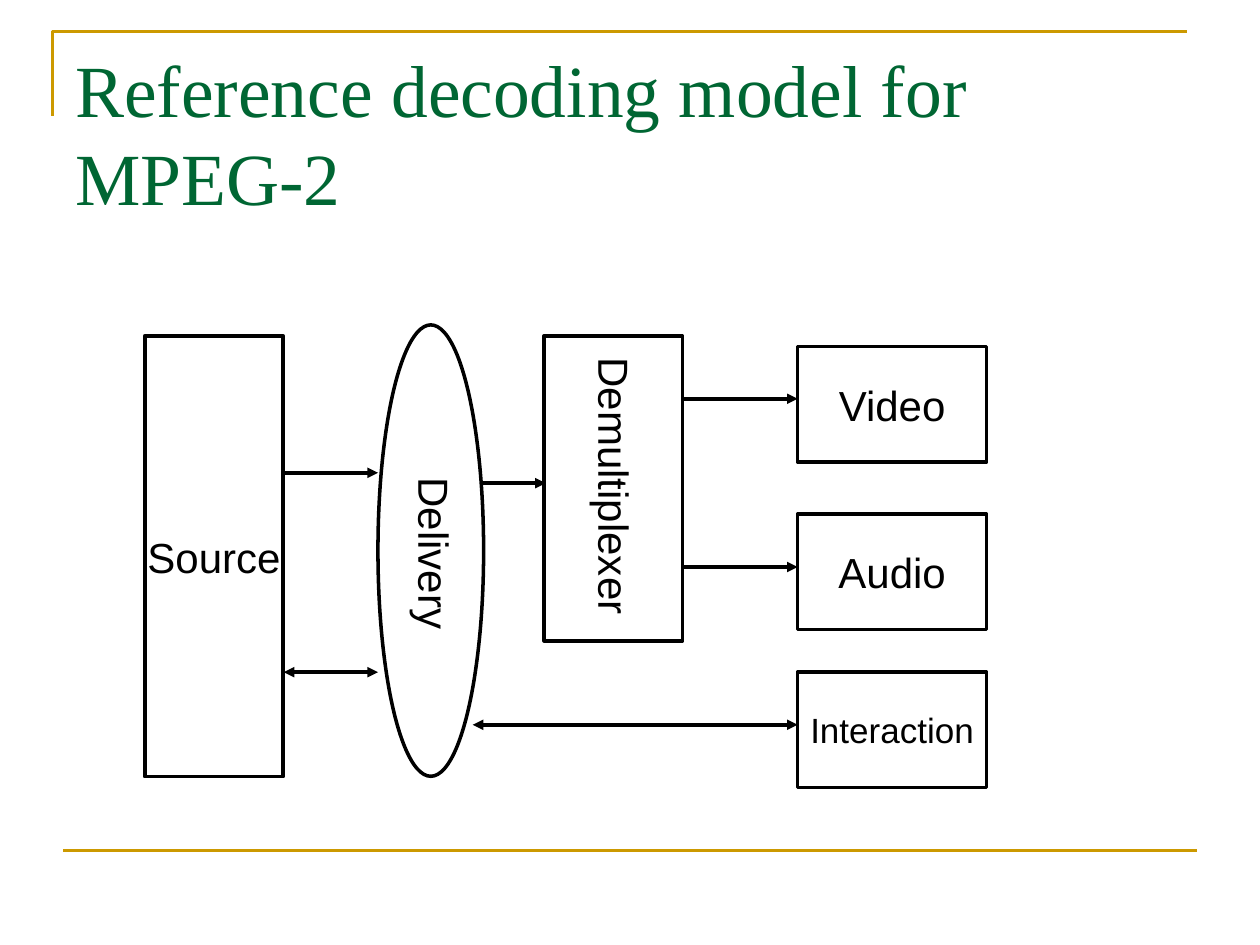
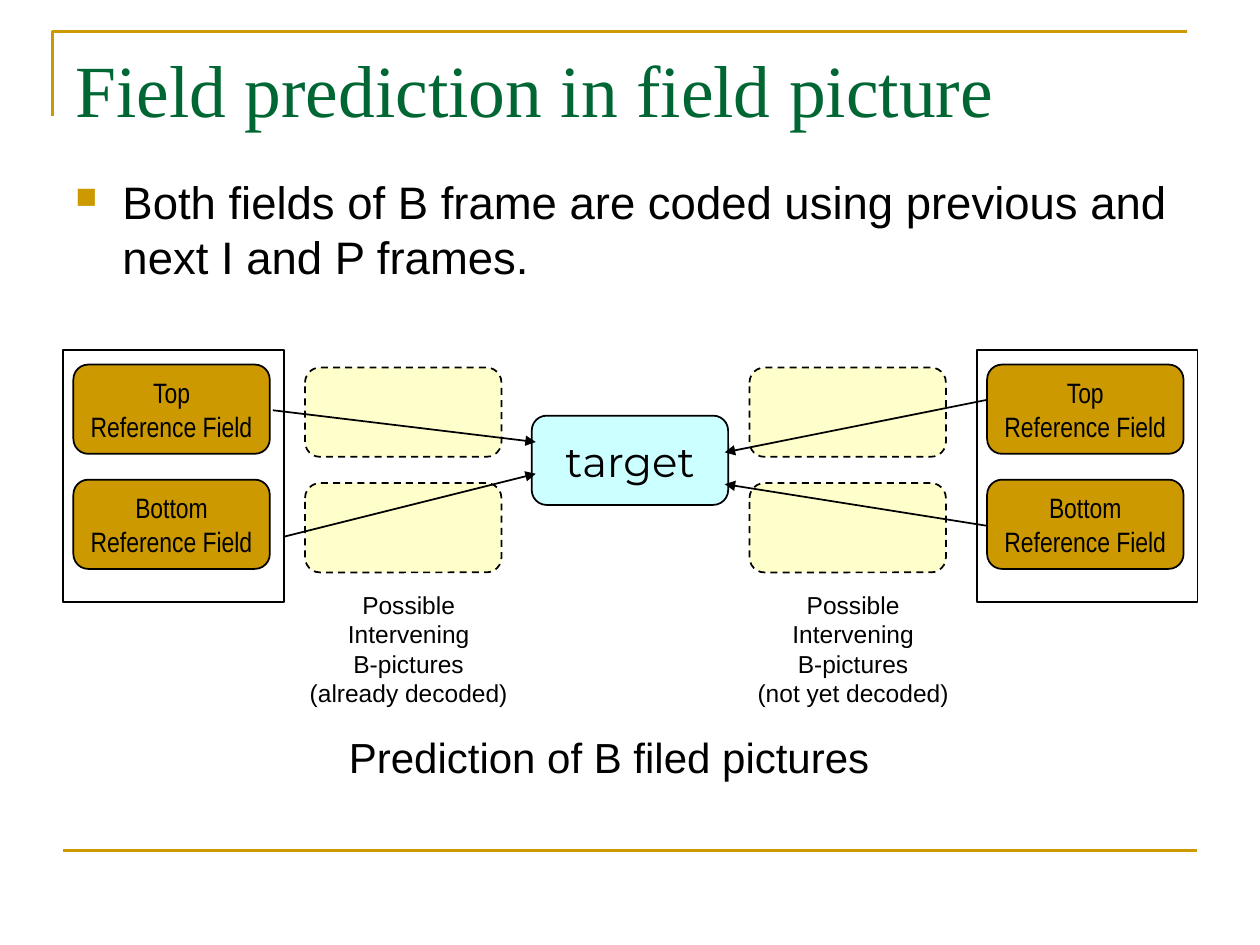
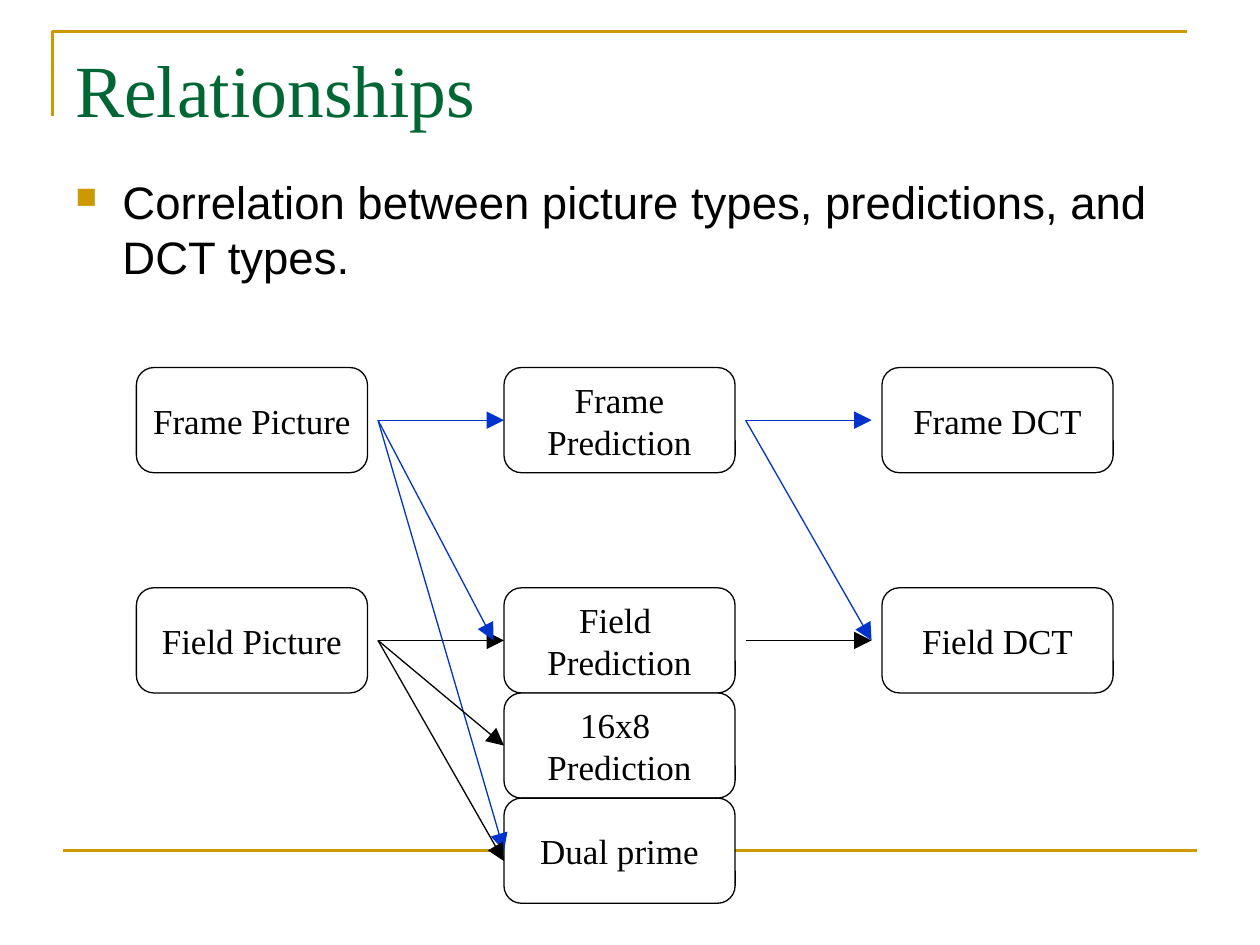
from dataclasses import dataclass, replace
from typing import Optional

from lxml import etree
from pptx import Presentation
from pptx.dml.color import RGBColor
from pptx.enum.dml import MSO_LINE
from pptx.enum.shapes import MSO_CONNECTOR, MSO_SHAPE
from pptx.enum.text import MSO_ANCHOR, PP_ALIGN
from pptx.oxml.ns import qn
from pptx.util import Cm, Pt

RECT = MSO_SHAPE.RECTANGLE
ROUND = MSO_SHAPE.ROUNDED_RECTANGLE
OVAL = MSO_SHAPE.OVAL
STRAIGHT = MSO_CONNECTOR.STRAIGHT
DASH = MSO_LINE.DASH
LEFT, CENTER = PP_ALIGN.LEFT, PP_ALIGN.CENTER
TOP, MIDDLE = MSO_ANCHOR.TOP, MSO_ANCHOR.MIDDLE

BLACK, WHITE, GOLD, GREEN = "000000", "FFFFFF", "CC9900", "006633"
CREAM, AQUA, BLUE = "FFFFCC", "CCFFFF", "0033CC"
SERIF, SANS = "Times New Roman", "Arial"


@dataclass(frozen=True)
class Look:
    font: str = SANS
    size: float = 24
    ink: str = BLACK
    fill: Optional[str] = None
    edge: Optional[str] = BLACK
    weight: float = 1
    dash: bool = False
    align: int = CENTER
    anchor: int = MIDDLE
    pad: tuple = (0.25, 0.13)
    wrap: bool = False
    turn: bool = False


@dataclass(frozen=True)
class Box:
    x: float
    y: float
    w: float
    h: float
    look: Look
    text: str = ""
    kind: Optional[int] = RECT


@dataclass(frozen=True)
class Arrow:
    x1: float
    y1: float
    x2: float
    y2: float
    weight: float = 1
    ink: str = BLACK
    both: bool = False
    size: str = "med"


TITLE = Look(SERIF, 42, GREEN, edge=None, align=LEFT, anchor=TOP, wrap=True)
BODY = replace(TITLE, font=SANS, size=26, ink=BLACK)
LABEL = Look(edge=None)
NOTE = replace(LABEL, size=14)
BLOCK = Look(weight=2, pad=(0, 0))
SIDE = replace(BLOCK, edge=None, align=LEFT, anchor=TOP, turn=True)
FIELD = Look("Arial Narrow", 16, fill=GOLD)
GHOST = Look(fill=CREAM, dash=True)
GOAL = Look("Montserrat", fill=AQUA)
STEP = Look(SERIF, 20, fill=WHITE, weight=0.75, pad=(0, 0))


def paint(code: str) -> RGBColor:
    return RGBColor.from_string(code)


def apply(target, values: dict) -> None:
    for name, value in values.items():
        setattr(target, name, value)


def add(parent, tag: str, **values: str) -> None:
    etree.SubElement(parent, qn(tag), values)


def stroke(line, ink: str, weight: float) -> None:
    line.color.rgb = paint(ink)
    line.width = Pt(weight)


def write(shape, text: str, look: Look) -> None:
    frame = shape.text_frame
    across, down = map(Cm, look.pad)
    apply(frame, {
        "word_wrap": look.wrap, "vertical_anchor": look.anchor,
        "margin_left": across, "margin_right": across,
        "margin_top": down, "margin_bottom": down,
    })
    if look.turn:
        shape._element.txBody.find(qn("a:bodyPr")).set("vert", "eaVert")
    frame.text = text
    for para in frame.paragraphs:
        para.alignment = look.align
        for run in para.runs:
            apply(run.font, {"name": look.font, "size": Pt(look.size)})
            run.font.color.rgb = paint(look.ink)


def draw_box(slide, box: Box):
    look = box.look
    place = [Cm(v) for v in (box.x, box.y, box.w, box.h)]
    if look.edge is None:
        shape = slide.shapes.add_textbox(*place)
    else:
        shape = slide.shapes.add_shape(box.kind, *place)
        shape.shadow.inherit = False
        stroke(shape.line, look.edge, look.weight)
        if look.dash:
            shape.line.dash_style = DASH
        if look.fill:
            shape.fill.solid()
            shape.fill.fore_color.rgb = paint(look.fill)
        else:
            shape.fill.background()
    if box.text:
        write(shape, box.text, look)
    return shape


def draw_line(slide, arrow: Arrow, tips: bool = True) -> None:
    ends = [Cm(v) for v in (arrow.x1, arrow.y1, arrow.x2, arrow.y2)]
    link = slide.shapes.add_connector(STRAIGHT, *ends)
    stroke(link.line, arrow.ink, arrow.weight)
    props = link._element.spPr
    if tips:
        line = props.find(qn("a:ln"))
        tags = ("a:headEnd", "a:tailEnd") if arrow.both else ("a:tailEnd",)
        for tag in tags:
            add(line, tag, type="triangle", w=arrow.size, len=arrow.size)
    add(props, "a:effectLst")


def draw_all(slide, boxes: list[Box], arrows: list[Arrow]) -> None:
    for box in boxes:
        draw_box(slide, box)
    for arrow in arrows:
        draw_line(slide, arrow)


def start(deck, title: str, point: str = ""):
    slide = deck.slides.add_slide(deck.slide_layouts[6])
    path = slide.shapes.build_freeform(Cm(1.06), Cm(2.33), scale=1.0)
    path.add_line_segments(
        [(Cm(1.06), Cm(0.64)), (Cm(23.92), Cm(0.64))], close=False)
    hook = path.convert_to_shape()
    hook.shadow.inherit = False
    hook.fill.background()
    stroke(hook.line, GOLD, 1.5)
    draw_line(slide, Arrow(1.27, 17.15, 24.13, 17.15, 1.5, GOLD), tips=False)
    draw_box(slide, Box(1.27, 0.76, 22.86, 3.18, TITLE, title))
    if point:
        body = draw_box(slide, Box(1.27, 3.38, 22.86, 13.64, BODY, point))
        para = body.text_frame.paragraphs[0]
        para.space_before = Pt(6.5)
        props = para._p.get_or_add_pPr()
        props.set("marL", str(Cm(0.95)))
        props.set("indent", str(-Cm(0.95)))
        add(props, "a:buClr")
        add(props[-1], "a:srgbClr", val=GOLD)
        add(props, "a:buSzPct", val="65000")
        add(props, "a:buChar", char="■")
    return slide


def model(deck) -> None:
    slide = start(deck, "Reference decoding model for MPEG-2")
    sinks = [("Video", 6.99, 24), ("Audio", 10.36, 24),
             ("Interaction", 13.55, 20)]
    boxes = [
        Box(2.92, 6.77, 2.79, 8.89, replace(BLOCK, wrap=True), "Source"),
        Box(7.62, 6.55, 2.13, 9.1, BLOCK, kind=OVAL),
        Box(8.26, 9.63, 1.02, 3.05, SIDE, "Delivery"),
        Box(10.97, 6.77, 2.79, 6.15, BLOCK),
        Box(11.89, 7.21, 1.02, 5.18, SIDE, "Demultiplexer"),
    ] + [Box(16.08, y, 3.81, 2.33, replace(BLOCK, size=size), text)
         for text, y, size in sinks]
    flows = [
        (5.72, 7.62, 9.53, False), (9.74, 11, 9.74, False),
        (13.76, 16.08, 8.04, False), (13.76, 16.08, 11.43, False),
        (9.53, 16.08, 14.61, True), (5.72, 7.62, 13.55, True),
    ]
    draw_all(slide, boxes, [Arrow(x1, y, x2, y, 2, both=both)
                            for x1, x2, y, both in flows])


def fields(deck) -> None:
    slide = start(deck, "Field prediction in field picture",
                  "Both fields of B frame are coded using previous and "
                  "next I and P frames.")
    wide, high = 3.96, 1.8
    boxes = [Box(10.72, 8.38, wide, high, GOAL, "target", ROUND)]
    sides = [(1.27, 6.15, "already decoded"), (19.69, 15.11, "not yet decoded")]
    for outer, inner, state in sides:
        boxes += [Box(inner, y, wide, high, GHOST, kind=ROUND)
                  for y in (7.41, 9.74)]
        boxes.append(Box(
            inner - 0.16, 11.76, 4.5, 2.64, NOTE,
            f"Possible\nIntervening\nB-pictures\n({state})"))
        boxes += [Box(outer + 0.21, y, wide, high, FIELD,
                      f"{name}\nReference Field", ROUND)
                  for name, y in (("Top", 7.35), ("Bottom", 9.67))]
        boxes.append(Box(outer, 7.06, 4.45, 5.08, Look()))
    boxes.append(Box(6.78, 14.61, 11, 1.27, LABEL,
                     "Prediction of B filed pictures"))
    draw_all(slide, boxes, [
        Arrow(5.5, 8.27, 10.8, 8.91), Arrow(5.72, 10.82, 10.8, 9.55),
        Arrow(19.9, 8.06, 14.61, 9.12), Arrow(19.9, 10.6, 14.61, 9.76),
    ])


def ties(deck) -> None:
    slide = start(deck, "Relationships",
                  "Correlation between picture types, predictions, and "
                  "DCT types.")
    wide, high, first, second = 4.66, 2.12, 7.41, 11.85
    grid = [
        (2.75, ["Frame Picture", "Field Picture"]),
        (10.16, ["Frame\nPrediction", "Field \nPrediction",
                 "16x8 \nPrediction", "Dual prime"]),
        (17.78, ["Frame DCT", "Field DCT"]),
    ]
    rows = [first] + [second + high * n for n in range(3)]
    boxes = [Box(x, y, wide, high, STEP, text, ROUND)
             for x, texts in grid for y, text in zip(rows, texts)]
    frame, field = 8.47, 12.91
    links = [
        (7.62, frame, 10.16, frame, BLUE), (15.03, frame, 17.57, frame, BLUE),
        (7.62, field, 10.16, field, BLACK), (15.03, field, 17.57, field, BLACK),
        (7.62, frame, 9.95, field, BLUE), (15.03, frame, 17.57, field, BLUE),
        (7.62, frame, 10.16, 17.15, BLUE), (7.62, field, 10.16, 15.03, BLACK),
        (7.62, field, 10.16, 17.36, BLACK),
    ]
    draw_all(slide, boxes, [Arrow(*ends, 0.75, ink, size="lg")
                            for *ends, ink in links])


def main() -> None:
    deck = Presentation()
    apply(deck, {"slide_width": Cm(25.4), "slide_height": Cm(19.05)})
    for build in (model, fields, ties):
        build(deck)
    deck.save("out.pptx")


if __name__ == "__main__":
    main()
